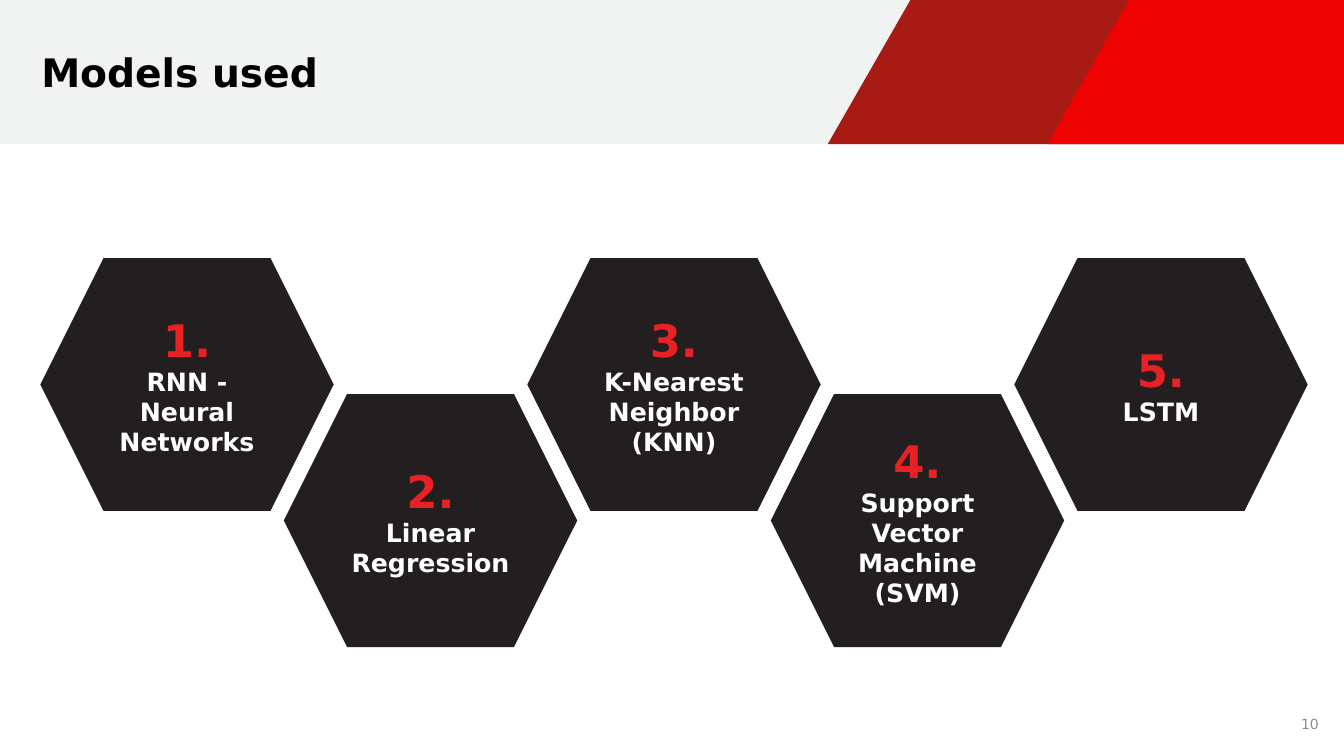
from typing import NamedTuple

from pptx import Presentation
from pptx.dml.color import RGBColor
from pptx.enum.shapes import MSO_SHAPE as Kind
from pptx.enum.text import MSO_ANCHOR as Anchor, PP_ALIGN as Align
from pptx.shapes.autoshape import Shape
from pptx.util import Inches, Pt

FONT = "DejaVu Sans"
WHITE = RGBColor(0xFF, 0xFF, 0xFF)
BLACK = RGBColor(0x00, 0x00, 0x00)
PALE = RGBColor(0xF1, 0xF2, 0xF2)
MAROON = RGBColor(0xA7, 0x1B, 0x14)
RED = RGBColor(0xEF, 0x03, 0x02)
DARK = RGBColor(0x23, 0x1F, 0x20)
ACCENT = RGBColor(0xE8, 0x21, 0x27)
GREY = RGBColor(0x8C, 0x8C, 0x8C)

WIDTH, HEIGHT, BAND = 13.33, 7.5, 1.43
LEFT, STEP = 0.4, 2.415
TOPS = (2.56, 3.91)


class Slant(NamedTuple):
    top: float
    base: float
    color: RGBColor


class Label(NamedTuple):
    text: str
    left: float
    top: float
    width: float
    height: float
    size: int
    color: RGBColor
    bold: bool
    align: Align


SLANTS = (Slant(9.03, 8.21, MAROON), Slant(11.2, 10.39, RED))
LABELS = (
    Label("Models used", 0.41, 0.48, 7.64, 0.47, 28, BLACK, True, Align.LEFT),
    Label("10", 10.08, 7.08, 3, 0.2, 10, GREY, False, Align.RIGHT),
)
MODELS = (
    "RNN - Neural Networks",
    "Linear Regression",
    "K-Nearest Neighbor (KNN)",
    "Support Vector Machine (SVM)",
    "LSTM",
)

deck = Presentation()
deck.slide_width, deck.slide_height = Inches(WIDTH), Inches(HEIGHT)
shapes = deck.slides.add_slide(deck.slide_layouts[6]).shapes


def paint(shape: Shape, color: RGBColor) -> None:
    shape.shadow.inherit = False
    shape.fill.solid()
    shape.fill.fore_color.rgb = color
    shape.line.fill.background()


def write(par, text: str, size: int, color: RGBColor, bold: bool, align: Align) -> None:
    par.text = text
    par.alignment = align
    font = par.font
    font.name, font.size, font.bold = FONT, Pt(size), bold
    font.color.rgb = color


def add_slant(slant: Slant) -> None:
    pen = shapes.build_freeform(Inches(slant.top), 0)
    pen.add_line_segments(
        [(Inches(x), Inches(y)) for x, y in ((slant.base, BAND), (WIDTH, BAND), (WIDTH, 0))]
    )
    paint(pen.convert_to_shape(), slant.color)


def add_label(label: Label) -> None:
    box = shapes.add_textbox(
        Inches(label.left), Inches(label.top), Inches(label.width), Inches(label.height)
    )
    frame = box.text_frame
    frame.word_wrap = True
    frame.vertical_anchor = Anchor.MIDDLE
    frame.margin_left = frame.margin_right = frame.margin_top = frame.margin_bottom = 0
    write(frame.paragraphs[0], label.text, label.size, label.color, label.bold, label.align)


def add_model(index: int, name: str) -> None:
    """Draw a numbered hexagon; odd positions sit in the lower row."""
    hexagon = shapes.add_shape(
        Kind.HEXAGON,
        Inches(LEFT + index * STEP), Inches(TOPS[index % 2]), Inches(2.91), Inches(2.51),
    )
    paint(hexagon, DARK)
    frame = hexagon.text_frame
    frame.word_wrap = True
    frame.vertical_anchor = Anchor.MIDDLE
    write(frame.paragraphs[0], f"{index + 1}.", 32, ACCENT, True, Align.CENTER)
    write(frame.add_paragraph(), name, 18, WHITE, True, Align.CENTER)


paint(shapes.add_shape(Kind.RECTANGLE, 0, 0, Inches(WIDTH), Inches(BAND)), PALE)
for slant in SLANTS:
    add_slant(slant)
for index, name in enumerate(MODELS):
    add_model(index, name)
for label in LABELS:
    add_label(label)

deck.save("out.pptx")
